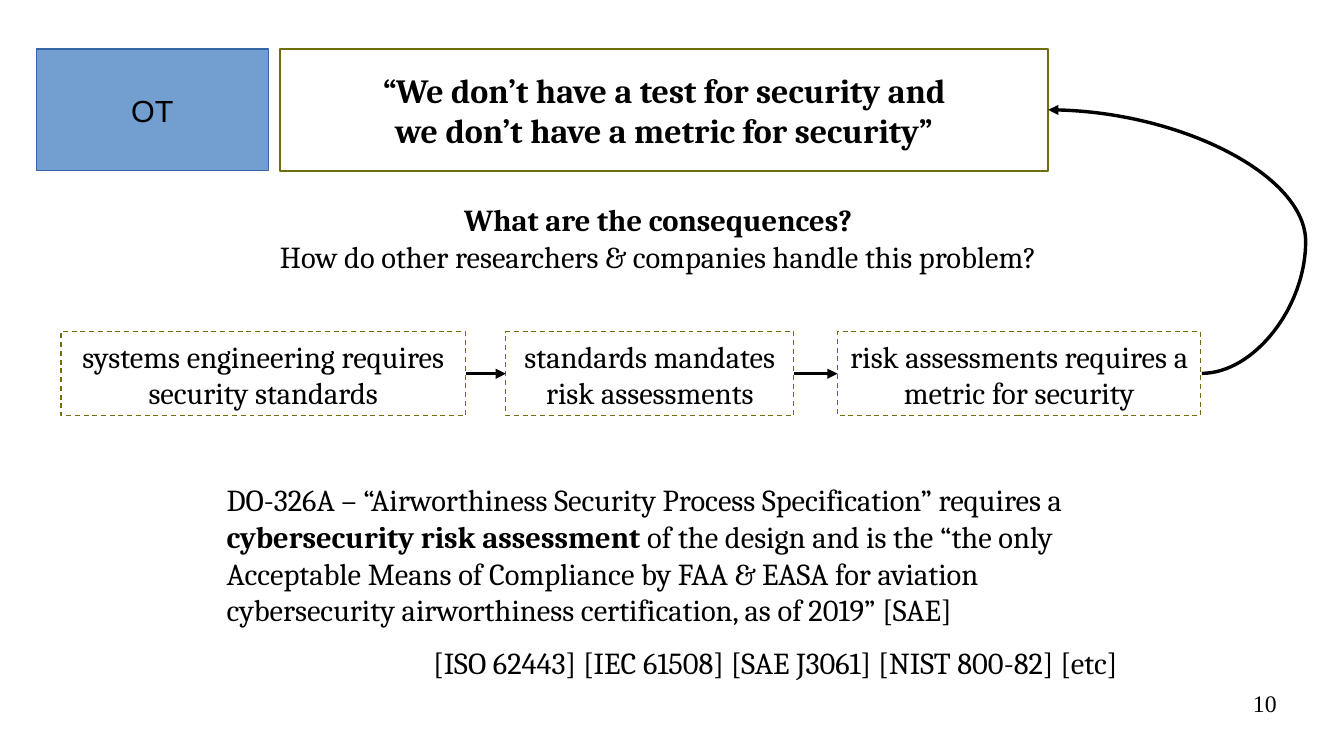
from lxml import etree
from pptx import Presentation, util as u
from pptx.dml.color import RGBColor
from pptx.enum import dml, shapes, text
from pptx.oxml.ns import qn

LEFT, CENTER, RIGHT = text.PP_ALIGN.LEFT, text.PP_ALIGN.CENTER, text.PP_ALIGN.RIGHT
TOP, MIDDLE = text.MSO_ANCHOR.TOP, text.MSO_ANCHOR.MIDDLE


def color(hex_string):
    return RGBColor.from_string(hex_string)


class SlideBuilder:
    font, size, ink, olive = "Cambria", 18, "000000", "706E0C"

    def __init__(self, presentation):
        layout = presentation.slide_layouts.get_by_name("Title Only")
        self.slide = presentation.slides.add_slide(layout)

    def set_text(self, shape, lines, align=CENTER, anchor=TOP, wrap=True,
                 size=None, font=None, margins=(0.25, 0.13)):
        """Each line is a list of (words, bold) runs."""
        frame = shape.text_frame
        frame.word_wrap, frame.vertical_anchor = wrap, anchor
        frame.auto_size = text.MSO_AUTO_SIZE.NONE
        frame.margin_left = frame.margin_right = u.Cm(margins[0])
        frame.margin_top = frame.margin_bottom = u.Cm(margins[1])
        frame.text = "\n".join("" for _ in lines)
        for paragraph, runs in zip(frame.paragraphs, lines):
            paragraph.alignment = align
            for words, bold in runs:
                run = paragraph.add_run()
                run.text = words
                run.font.name, run.font.size = font or self.font, u.Pt(size or self.size)
                run.font.bold, run.font.color.rgb = bold, color(self.ink)
        return shape

    def title(self, left, top, width, height, lines):
        shape = self.slide.shapes.title
        shape.left, shape.top = u.Cm(left), u.Cm(top)
        shape.width, shape.height = u.Cm(width), u.Cm(height)
        shape.line.color.rgb, shape.line.width = color(self.olive), u.Pt(1)
        return self.set_text(shape, lines, anchor=MIDDLE, wrap=False, size=20)

    def text_box(self, left, top, width, height, lines, **style):
        shape = self.slide.shapes.add_textbox(
            u.Cm(left), u.Cm(top), u.Cm(width), u.Cm(height))
        return self.set_text(shape, lines, **style)

    def box(self, left, top, width, height, lines, fill=None, line=None, dash=None, **style):
        shape = self.slide.shapes.add_shape(
            shapes.MSO_SHAPE.RECTANGLE, u.Cm(left), u.Cm(top), u.Cm(width), u.Cm(height))
        shape.shadow.inherit = False
        if fill:
            shape.fill.solid()
            shape.fill.fore_color.rgb = color(fill)
        else:
            shape.fill.background()
        shape.line.color.rgb, shape.line.width = color(line or self.olive), u.Pt(0)
        if dash:
            shape.line.dash_style = dash
        return self.set_text(shape, lines, **style)

    def arrow(self, start=(0, 0), end=(0, 0), kind=shapes.MSO_CONNECTOR.STRAIGHT):
        connector = self.slide.shapes.add_connector(
            kind, *(u.Cm(value) for value in (*start, *end)))
        connector.line.color.rgb, connector.line.width = color(self.ink), u.Pt(0)
        properties = connector._element.spPr
        etree.SubElement(properties.find(qn("a:ln")), qn("a:tailEnd"), type="triangle")
        etree.SubElement(properties, qn("a:effectLst"))
        return connector

    def join(self, source, target):
        connector = self.arrow()
        connector.begin_connect(source, 3)
        connector.end_connect(target, 1)

    def curved_arrow(self, start, end, bend):
        connector = self.arrow(start, end, shapes.MSO_CONNECTOR.CURVE)
        geometry = connector._element.spPr.find(qn("a:prstGeom"))
        guides = geometry.find(qn("a:avLst"))
        if guides is None:
            guides = etree.SubElement(geometry, qn("a:avLst"))
        etree.SubElement(guides, qn("a:gd"), name="adj1", fmla=f"val {bend}")


def main():
    presentation = Presentation()
    presentation.slide_width, presentation.slide_height = u.Cm(28), u.Cm(15.75)
    builder = SlideBuilder(presentation)

    # Claim and its tag
    builder.title(5.84, 1.02, 16, 2.54, [
        [("“We don’t have a test for security and", True)],
        [("we don’t have a metric for security”", True)]])
    builder.box(0.76, 1.02, 4.83, 2.54, [[("OT", False)]], fill="729FCF", line="3465A4",
                font="Arial", anchor=MIDDLE, wrap=False)

    # Question
    builder.text_box(4.57, 4.06, 18.29, 1.75, [
        [("What are the consequences?", True)],
        [("How do other researchers & companies handle this problem?", False)]])

    # Chain of requirements
    steps = [
        (1.27, 8.43, ["systems engineering requires security standards"]),
        (10.54, 6, ["standards mandates", "risk assessments"]),
        (17.45, 7.57, ["risk assessments requires a metric for security"])]
    boxes = [builder.box(left, 6.91, width, 1.75, [[(line, False)] for line in lines],
                         dash=dml.MSO_LINE.DASH)
             for left, width, lines in steps]
    for source, target in zip(boxes, boxes[1:]):
        builder.join(source, target)
    builder.curved_arrow((25.04, 7.78), (21.84, 2.29), -67600)

    # Example standard and further references
    example = builder.text_box(4.47, 9.9, 19.07, 4.32, [
        [("DO-326A – “Airworthiness Security Process Specification” requires a ", False),
         ("cybersecurity risk assessment", True),
         (" of the design and is the “the only Acceptable Means of Compliance by FAA & EASA "
          "for aviation cybersecurity airworthiness certification, as of 2019” [SAE]", False)],
        [("[ISO 62443] [IEC 61508] [SAE J3061] [NIST 800-82] [etc]", False)]], align=LEFT)
    references = example.text_frame.paragraphs[1]
    references.alignment, references.space_before = RIGHT, u.Pt(9.5)

    # Page number
    builder.text_box(20.07, 14.35, 6.53, 1.09, [[("10", False)]], align=RIGHT, size=14,
                     font="Times New Roman", margins=(0, 0))

    presentation.save("out.pptx")


if __name__ == "__main__":
    main()
